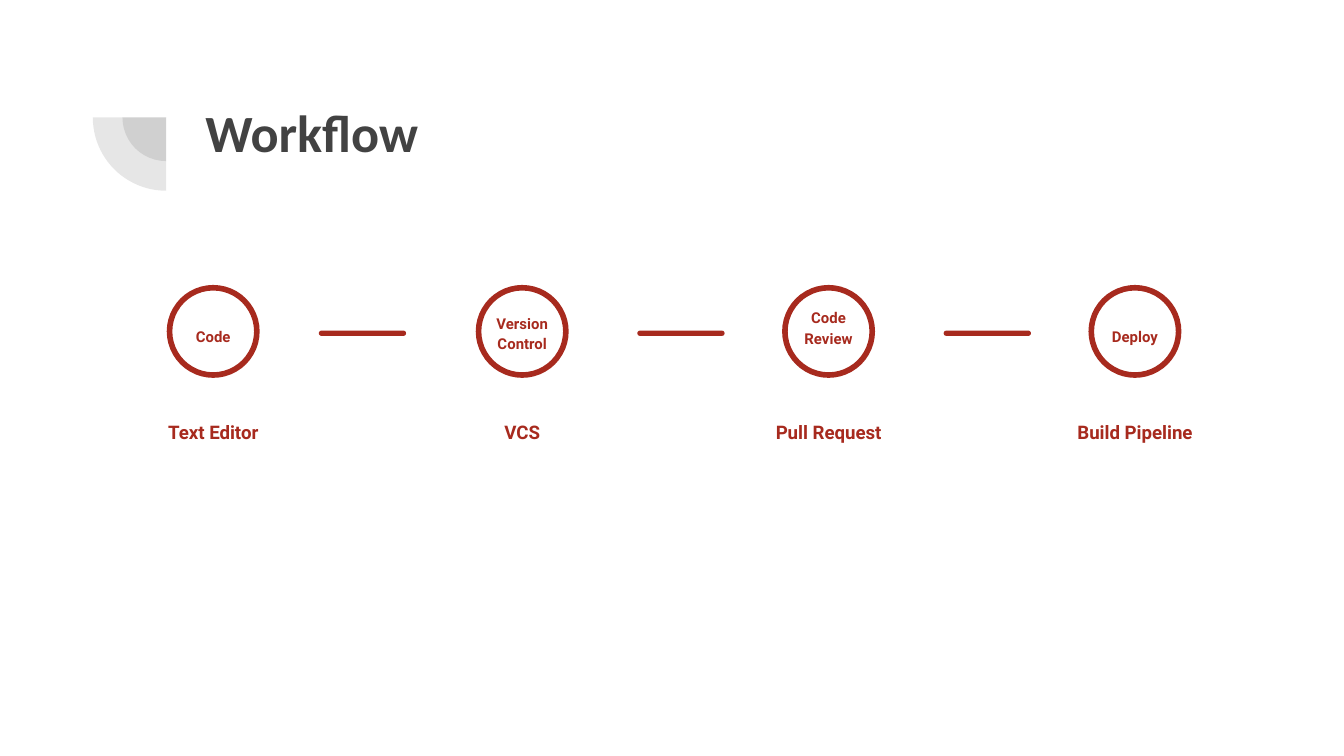
from lxml import etree
from pptx import Presentation
from pptx.dml.color import RGBColor
from pptx.enum import shapes, text
from pptx.oxml.ns import qn
from pptx.util import Cm, Pt

TITLE = "Workflow"
# Lengths in cm: ring text, its top, width and height, label, centre of step
STEPS = [
    ("Code", 5.89, 1.22, 0.89, "Text Editor", 4.03),
    ("Version Control", 5.64, 2.08, 1.5, "VCS", 9.87),
    ("Code Review", 5.54, 1.65, 1.24, "Pull Request", 15.66),
    ("Deploy", 5.89, 1.65, 0.89, "Build Pipeline", 21.45),
]
DASHES = [6.85, 12.87, 18.66]
PIES = [1.65, 2.77]
HUB = (3.14, 2.22)
RING, RING_TOP = 1.65, 5.44

THEME = {
    "red": RGBColor(0xA7, 0x2A, 0x1E),
    "gray": RGBColor(0x42, 0x42, 0x42),
    "white": RGBColor(0xFF, 0xFF, 0xFF),
    "head": "Calibri", "body": "Roboto",
    "title": 28, "label": 10, "word": 8, "line": 3,
}
KIND = shapes.MSO_SHAPE


def add_shape(home, kind, mid, top, wide, high, fill=None):
    """Add a flat shape centred on mid, with a fill or none."""
    shape = home.add_shape(kind, Cm(mid - wide / 2), Cm(top), Cm(wide), Cm(high))
    shape.shadow.inherit = False
    shape.line.fill.background()
    if fill is None:
        shape.fill.background()
    else:
        shape.fill.solid()
        shape.fill.fore_color.rgb = fill
    return shape


def set_text(shape, words, size, font, color, anchor, align):
    """Write bold text in a frame with even insets."""
    frame = shape.text_frame
    frame.text = words
    frame.word_wrap = True
    frame.auto_size = text.MSO_AUTO_SIZE.NONE
    frame.vertical_anchor = anchor
    frame.margin_left = frame.margin_right = Cm(0.25)
    frame.margin_top = frame.margin_bottom = Cm(0.25)
    para = frame.paragraphs[0]
    para.alignment = align
    face = para.runs[0].font
    face.size, face.name, face.bold = Pt(size), font, True
    face.color.rgb = color
    return para


def add_text(home, words, mid, top, wide, high, size, anchor):
    """Add a centred red text box."""
    box = home.add_textbox(Cm(mid - wide / 2), Cm(top), Cm(wide), Cm(high))
    para = set_text(box, words, size, THEME["body"], THEME["red"],
                    anchor, text.PP_ALIGN.CENTER)
    para.line_spacing = 1.15
    return para


def add_pie(home, size):
    """Add a pale quarter disc around the hub."""
    pie = add_shape(home, KIND.PIE, HUB[0], HUB[1] - size / 2, size, size,
                    THEME["gray"])
    pie.adjustments[0], pie.adjustments[1] = 108, 162
    pie.rotation = 270
    tint = pie.fill._xPr.find(qn("a:solidFill"))[0]
    etree.SubElement(tint, qn("a:alpha"), val="13000")


def add_step(slide, word, top, wide, high, label, mid):
    """Add a ring with its word and the label below, as one group."""
    home = slide.shapes.add_group_shape().shapes
    ring = add_shape(home, KIND.OVAL, mid, RING_TOP, RING, RING)
    ring.line.color.rgb = THEME["red"]
    ring.line.width = Pt(THEME["line"])
    para = add_text(home, word, mid, top, wide, high, THEME["word"],
                    text.MSO_ANCHOR.TOP)
    para.space_after = Pt(16)
    add_text(home, label, mid, 7.39, 4.75, 1.24, THEME["label"],
             text.MSO_ANCHOR.BOTTOM)


def build():
    """Build and save the slide."""
    deck = Presentation()
    deck.slide_width, deck.slide_height = Cm(25.4), Cm(14.29)
    slide = deck.slides.add_slide(deck.slide_layouts[5])
    slide.background.fill.solid()
    slide.background.fill.fore_color.rgb = THEME["white"]

    title = slide.shapes.title
    title.left, title.top = Cm(3.63), Cm(1.65)
    title.width, title.height = Cm(19.53), Cm(2.77)
    set_text(title, TITLE, THEME["title"], THEME["head"], THEME["gray"],
             text.MSO_ANCHOR.TOP, text.PP_ALIGN.LEFT)

    badge = slide.shapes.add_group_shape().shapes
    for size in PIES:
        add_pie(badge, size)
    for step in STEPS:
        add_step(slide, *step)
    for mid in DASHES:
        dash = add_shape(slide.shapes, KIND.ROUNDED_RECTANGLE, mid, 6.25,
                         1.65, 0.1, THEME["red"])
        dash.adjustments[0] = 0.5
    deck.save("out.pptx")


build()
